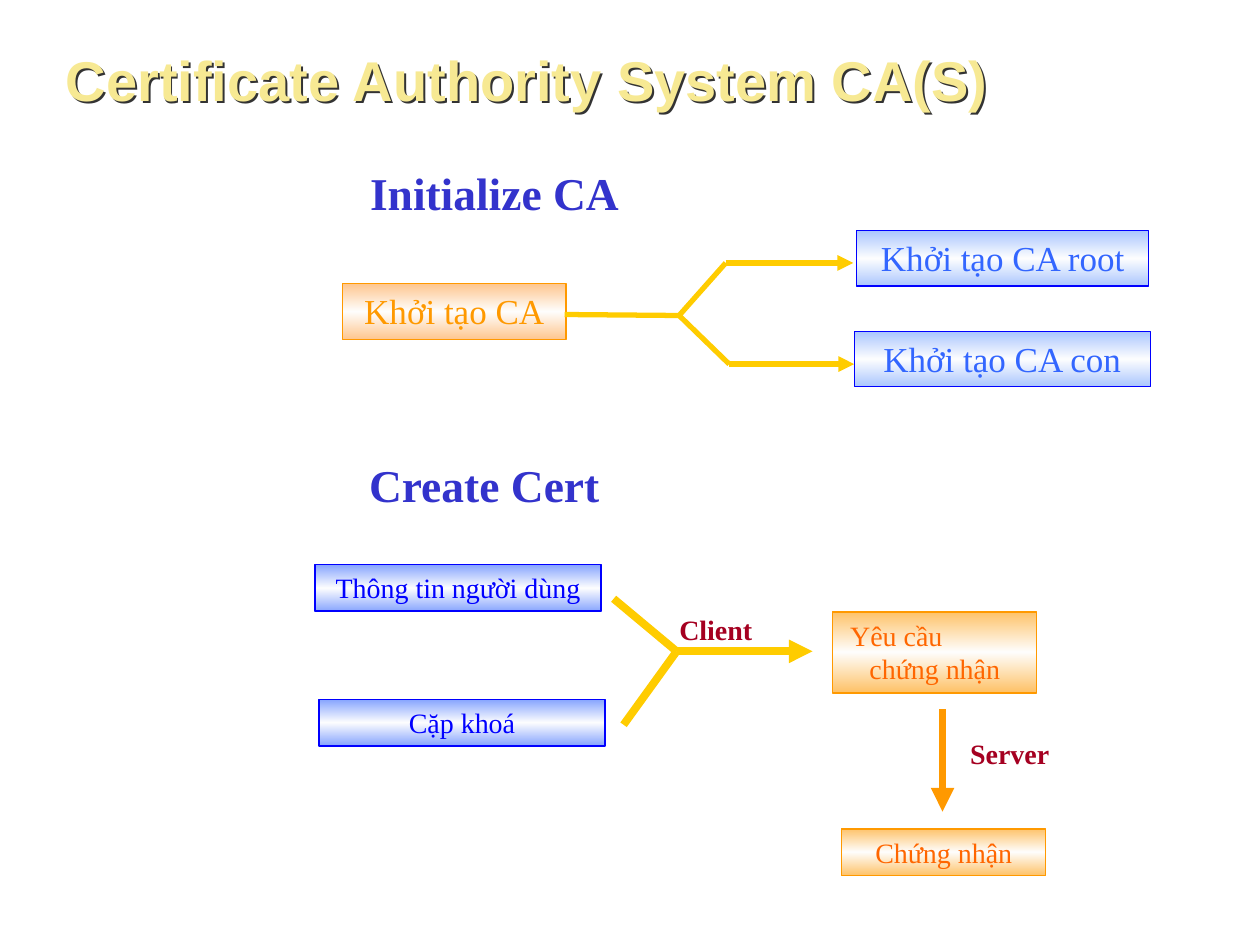
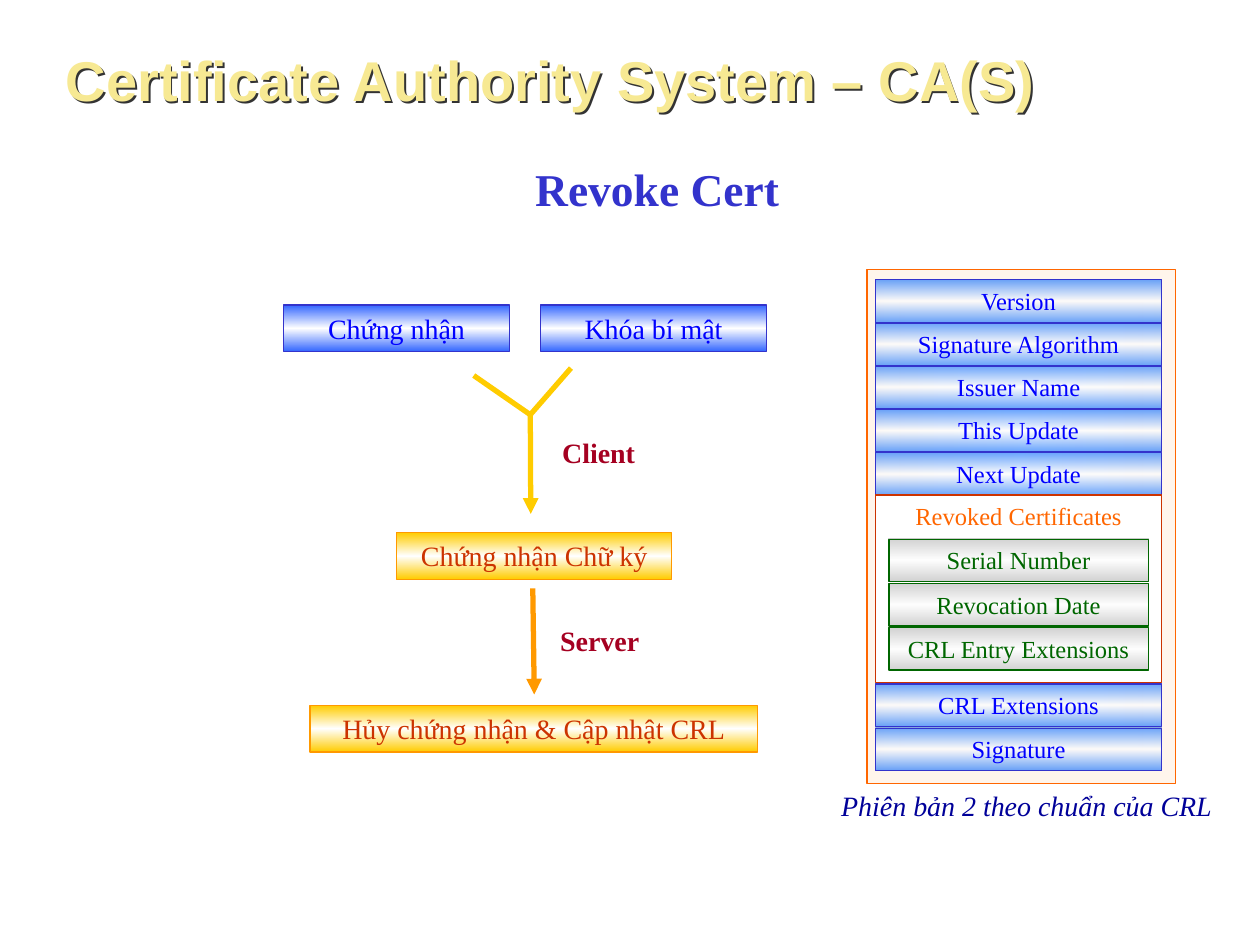
from pptx import Presentation
from pptx.dml.color import RGBColor
from pptx.enum.shapes import MSO_CONNECTOR, MSO_SHAPE
from pptx.enum.text import MSO_ANCHOR, MSO_AUTO_SIZE, PP_ALIGN
from pptx.oxml import parse_xml
from pptx.oxml.ns import nsdecls, qn
from pptx.util import Cm, Pt
from lxml.etree import SubElement

COLORS = {
    "white": "FFFFFF", "title": "F7E993", "shadow": "333333",
    "heading": "3333CC", "label": "A50021", "caption": "000099",
    "blue": "0000FF", "sky": "3366FF", "pale_sky": "6699FF",
    "azure": "0066FF", "orange": "FF9900", "apricot": "FF9933",
    "peach": "FFCC99", "vivid": "FF6600", "yellow": "FFCC00",
    "brick": "CC3300", "green": "006600", "grey": "B2B2B2",
}

# Box styles: band colour, band opacity in percent, outline, text, text size
STYLES = {
    "start": ("apricot", 56, "orange", "orange", 20),
    "branch": ("pale_sky", 56, "blue", "sky", 20),
    "input": ("sky", 60, "blue", "blue", 16),
    "request": ("orange", 60, "orange", "vivid", 16),
    "source": ("sky", 100, "heading", "blue", 16),
    "result": ("yellow", 100, "orange", "brick", 16),
    "field": ("azure", 60, "heading", "blue", 14),
    "entry": ("grey", 60, "green", "green", 14),
}

BOX_H = 0.94
ROW_H = 0.86


def rgb(name):
    return RGBColor.from_string(COLORS[name])


class Deck:
    """Holds the shared style and the current slide."""

    title_font = "Arial"
    body_font = "Times New Roman"

    def __init__(self):
        self.prs = Presentation()
        self.prs.slide_width = Cm(25.4)
        self.prs.slide_height = Cm(19.05)
        self.s = None

    def slide(self, title):
        self.s = self.prs.slides.add_slide(self.prs.slide_layouts[5])
        sp = self.s.shapes.title
        sp.left, sp.top, sp.width, sp.height = Cm(1.07), Cm(0.94), Cm(23.27), Cm(1.47)
        tf = sp.text_frame
        tf.text = title
        tf.auto_size = MSO_AUTO_SIZE.NONE
        tf.vertical_anchor = MSO_ANCHOR.MIDDLE
        self.format(tf, "title", 32, bold=True, align=PP_ALIGN.LEFT, font=self.title_font)
        tf.paragraphs[0].line_spacing = 0.9
        # With no fill, the shadow falls from the letters
        sp.fill.background()
        sp._element.spPr.append(parse_xml(
            f'<a:effectLst {nsdecls("a")}><a:outerShdw dist="20000" dir="2700000" '
            f'algn="tl" rotWithShape="0"><a:srgbClr val="{COLORS["shadow"]}"/>'
            f'</a:outerShdw></a:effectLst>'))

    def format(self, tf, color, size, bold=False, italic=False,
               align=PP_ALIGN.CENTER, font=body_font):
        for p in tf.paragraphs:
            p.alignment = align
            for r in p.runs:
                r.font.name, r.font.size = font, Pt(size)
                r.font.bold, r.font.italic = bold, italic
                r.font.color.rgb = rgb(color)

    def text(self, text, x, y, w, h, color, size, **style):
        sp = self.s.shapes.add_textbox(Cm(x), Cm(y), Cm(w), Cm(h))
        sp.text_frame.word_wrap = False
        sp.text_frame.text = text
        self.format(sp.text_frame, color, size, **style)

    def heading(self, text, x, y, w):
        self.text(text, x, y, w, 1.37, "heading", 26, bold=True, align=PP_ALIGN.LEFT)

    def label(self, text, x, y, w):
        self.text(text, x, y, w, BOX_H, "label", 16, bold=True)

    def rect(self, x, y, w, h, line):
        sp = self.s.shapes.add_shape(MSO_SHAPE.RECTANGLE, Cm(x), Cm(y), Cm(w), Cm(h))
        sp.shadow.inherit = False
        sp.fill.solid()
        sp.fill.fore_color.rgb = rgb("white")
        sp.line.color.rgb = rgb(line)
        sp.line.width = Pt(0.75)
        sp.text_frame.vertical_anchor = MSO_ANCHOR.TOP
        return sp

    def gradient(self, sp, stops, direction='<a:lin ang="5400000" scaled="1"/>'):
        gs = "".join(
            f'<a:gs pos="{pos * 1000}"><a:srgbClr val="{COLORS[color]}">'
            f'<a:alpha val="{alpha * 1000}"/></a:srgbClr></a:gs>'
            for pos, color, alpha in stops)
        fill = parse_xml(f'<a:gradFill {nsdecls("a")} rotWithShape="1">'
                         f'<a:gsLst>{gs}</a:gsLst>{direction}</a:gradFill>')
        spPr = sp._element.spPr
        spPr.replace(spPr.find(qn("a:solidFill")), fill)

    def box(self, text, x, y, w, style, h=BOX_H):
        band, alpha, line, color, size = STYLES[style]
        sp = self.rect(x, y, w, h, line)
        self.gradient(sp, [(0, band, alpha), (50, "white", alpha), (100, band, alpha)])
        sp.text_frame.text = text
        self.format(sp.text_frame, color, size)
        return sp

    def stack(self, texts, x, y, w, step, style):
        for i, text in enumerate(texts):
            self.box(text, x, y + i * step, w, style, ROW_H)

    def line(self, start, end, color="yellow", width=3, arrow=False):
        c = self.s.shapes.add_connector(
            MSO_CONNECTOR.STRAIGHT, *(Cm(v) for v in (*start, *end)))
        c.line.color.rgb = rgb(color)
        c.line.width = Pt(width)
        if arrow:
            SubElement(c.line._get_or_add_ln(), qn("a:tailEnd"), type="triangle")
        SubElement(c._element.spPr, qn("a:effectLst"))

    def merge(self, starts, joint, end, width=3):
        for start in starts:
            self.line(start, joint, width=width)
        self.line(joint, end, width=width, arrow=True)


def initialize_and_create(d):
    d.slide("Certificate Authority System CA(S)")

    # Initialize CA: one start, two branches
    d.heading("Initialize CA", 7.21, 3.2, 5.54)
    d.box("Khởi tạo CA", 6.91, 5.72, 4.5, "start", 1.12)
    fork = (13.69, 6.36)
    d.line((11.38, 6.34), fork)
    for bend, tip in ((14.63, 5.3), 17.2), ((14.7, 7.34), 17.22):
        d.line(fork, bend)
        d.line(bend, (tip, bend[1]), arrow=True)
    d.box("Khởi tạo CA root", 17.27, 4.65, 5.89, "branch", 1.12)
    d.box("Khởi tạo CA con", 17.22, 6.68, 5.97, "branch", 1.12)

    # Create Cert: client inputs become a request
    d.heading("Create Cert", 7.19, 9.09, 5.16)
    d.box("Thông tin người dùng", 6.35, 11.38, 5.77, "input")
    d.box("Cặp khoá", 6.43, 14.1, 5.77, "input")
    d.merge([(12.37, 12.07), (12.57, 14.61)], (13.64, 13.13), (16.38, 13.13), 4.5)
    d.label("Client", 13.11, 12.22, 2.64)
    request = d.box("Yêu cầu\nchứng nhận", 16.79, 12.34, 4.11, "request", 1.63)
    p = request.text_frame.paragraphs[0]
    p.alignment = PP_ALIGN.LEFT
    p._p.get_or_add_pPr().set("indent", str(Cm(0.1)))

    # Server turns the request into a certificate
    d.line((19, 14.3), (19, 16.36), "orange", 4.5, arrow=True)
    d.label("Server", 19.2, 14.73, 2.31)
    d.box("Chứng nhận", 16.97, 16.71, 4.11, "request")


def revoke(d):
    d.slide("Certificate Authority System – CA(S)")

    # Revocation flow
    d.heading("Revoke Cert", 10.54, 3.12, 5.44)
    d.box("Chứng nhận", 5.72, 6.15, 4.55, "source")
    d.box("Khóa bí mật", 10.9, 6.15, 4.55, "source")
    d.merge([(11.51, 7.42), (9.55, 7.57)], (10.69, 8.36), (10.7, 10.36))
    d.label("Client", 10.87, 8.66, 2.4)
    d.box("Chứng nhận Chữ ký", 8, 10.74, 5.54, "result")
    d.line((10.74, 11.86), (10.77, 14), "orange", arrow=True)
    d.label("Server", 10.89, 12.45, 2.4)
    d.box("Hủy chứng nhận & Cập nhật CRL", 6.25, 14.22, 9.02, "result")

    # CRL structure
    x, w = 17.65, 5.77
    frame = d.rect(17.48, 5.44, 6.22, 10.36, "vivid")
    d.gradient(frame, [(0, "white", 21), (100, "peach", 18)],
               '<a:path path="rect"><a:fillToRect l="50000" t="50000" '
               'r="50000" b="50000"/></a:path>')
    d.stack(["Version", "Signature Algorithm", "Issuer Name", "This Update",
             "Next Update"], x, 5.64, w, 0.87, "field")
    d.stack(["CRL Extensions", "Signature"], x, 13.79, w, 0.89, "field")
    revoked = d.rect(x, 9.98, w, 3.78, "brick")
    revoked.text_frame.text = "Revoked Certificates"
    d.format(revoked.text_frame, "vivid", 14)
    d.stack(["Serial Number", "Revocation Date", "CRL Entry Extensions"],
            17.92, 10.87, 5.23, 0.89, "entry")
    d.text("Phiên bản 2 theo chuẩn của CRL", 16.43, 15.77, 8.53, BOX_H,
           "caption", 16, italic=True)


def main():
    d = Deck()
    initialize_and_create(d)
    revoke(d)
    d.prs.save("out.pptx")


if __name__ == "__main__":
    main()
